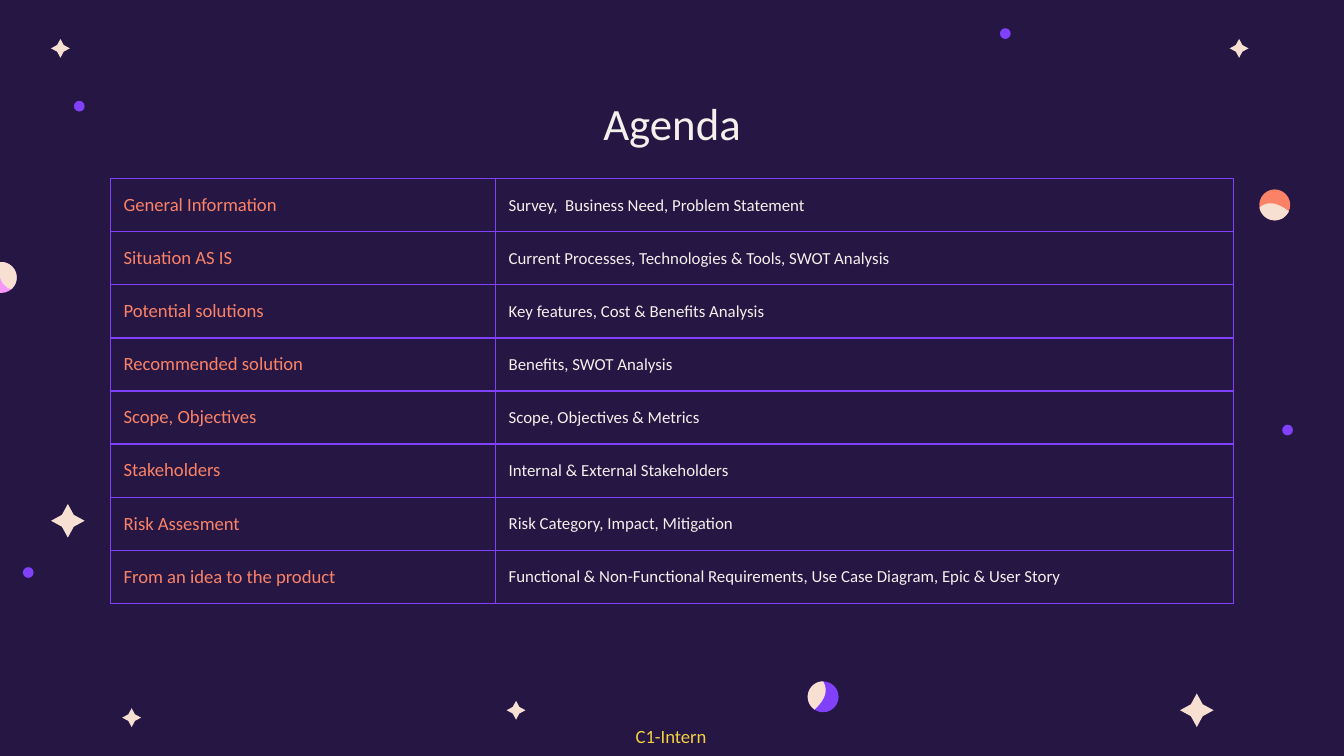
import math
from typing import NamedTuple

import pptx
import pptx.dml.color
import pptx.enum.shapes
import pptx.enum.text
import pptx.oxml
import pptx.oxml.ns
import pptx.util

# The slide is a grid of square cells, each a hundredth of its width
COLUMNS, ROWS = 100, 56.25
CELL = pptx.util.Inches(0.1)
FONT = "Calibri"
COLOURS = {
    "night": "251644",
    "violet": "8141FB",
    "cream": "F7E0D2",
    "pink": "F897FA",
    "coral": "FB8266",
    "white": "F4F1EC",
    "yellow": "F5D142",
}
MSO_SHAPE = pptx.enum.shapes.MSO_SHAPE
MIDDLE = pptx.enum.text.MSO_ANCHOR.MIDDLE
CENTER = pptx.enum.text.PP_ALIGN.CENTER


class Spot(NamedTuple):
    """A decoration's centre and diameter, in grid cells."""
    column: float
    row: float
    size: float


class Moon(NamedTuple):
    spot: Spot
    colour: str
    turn: float  # degrees clockwise


class Topic(NamedTuple):
    name: str
    details: str


DOT, SMALL_STAR, BIG_STAR, MOON = 0.8, 1.4, 2.5, 2.3
DOTS = [Spot(5.9, 7.9, DOT), Spot(74.8, 2.5, DOT),
        Spot(2.1, 42.6, DOT), Spot(95.8, 32, DOT)]
STARS = [
    Spot(5.05, 38.75, BIG_STAR),
    Spot(92.2, 3.6, SMALL_STAR),
    Spot(89.05, 52.85, BIG_STAR),
    Spot(9.8, 53.4, SMALL_STAR),
    Spot(4.5, 3.6, SMALL_STAR),
    Spot(38.4, 52.85, SMALL_STAR),
]
MOONS = [
    Moon(Spot(0.1, 20.65, MOON), "pink", 140.3),
    Moon(Spot(94.85, 15.25, MOON), "coral", 260.4),
    Moon(Spot(61.25, 51.85, MOON), "violet", 0),
]
TOPICS = [
    Topic("General Information", "Survey,  Business Need, Problem Statement"),
    Topic("Situation AS IS", "Current Processes, Technologies & Tools, SWOT Analysis"),
    Topic("Potential solutions", "Key features, Cost & Benefits Analysis"),
    Topic("Recommended solution", "Benefits, SWOT Analysis"),
    Topic("Scope, Objectives", "Scope, Objectives & Metrics"),
    Topic("Stakeholders", "Internal & External Stakeholders"),
    Topic("Risk Assesment", "Risk Category, Impact, Mitigation"),
    Topic("From an idea to the product",
          "Functional & Non-Functional Requirements, Use Case Diagram, Epic & User Story"),
]


def grid(cells: float) -> int:
    return round(cells * CELL)


def rgb(colour: str) -> pptx.dml.color.RGBColor:
    return pptx.dml.color.RGBColor.from_string(COLOURS[colour])


def paint(shape, colour: str) -> None:
    shape.shadow.inherit = False
    shape.fill.solid()
    shape.fill.fore_color.rgb = rgb(colour)
    shape.line.fill.background()


def draw_spot(slide, kind, spot: Spot, colour: str):
    corner = (grid(spot.column - spot.size / 2), grid(spot.row - spot.size / 2))
    shape = slide.shapes.add_shape(kind, *corner, grid(spot.size), grid(spot.size))
    paint(shape, colour)
    return shape


def draw_star(slide, spot: Spot) -> None:
    star = draw_spot(slide, MSO_SHAPE.STAR_4_POINT, spot, "cream")
    star.adjustments[0] = 0.25


def lit_outline(steps: int = 24) -> list[tuple[float, float]]:
    """Lit part of an upright moon of radius 1: its left rim, then a curved edge."""
    angles = [math.radians(270 - 146 * i / steps) for i in range(steps + 1)]
    rim = [(math.cos(a), math.sin(a)) for a in angles]
    bend = [rim[-1], (0, 0.3), (0.4, -0.3), rim[0]]
    edge = []
    for i in range(1, steps):
        t = i / steps
        weights = [math.comb(3, k) * t**k * (1 - t)**(3 - k) for k in range(4)]
        edge.append(tuple(sum(w * p[axis] for w, p in zip(weights, bend))
                          for axis in (0, 1)))
    return rim + edge


def draw_moon(slide, moon: Moon) -> None:
    draw_spot(slide, MSO_SHAPE.OVAL, moon.spot, moon.colour)
    cos, sin = math.cos(math.radians(moon.turn)), math.sin(math.radians(moon.turn))
    radius = moon.spot.size / 2
    outline = [(grid(moon.spot.column + radius * (x * cos - y * sin)),
                grid(moon.spot.row + radius * (x * sin + y * cos)))
               for x, y in lit_outline()]
    builder = slide.shapes.build_freeform(*outline[0])
    builder.add_line_segments(outline[1:], close=True)
    paint(builder.convert_to_shape(), "cream")


def write(frame, text: str, size: float, colour: str, align=None) -> None:
    paragraph = frame.paragraphs[0]
    paragraph.text = text
    paragraph.alignment = align
    paragraph.font.name = FONT
    paragraph.font.size = pptx.util.Pt(size)
    paragraph.font.color.rgb = rgb(colour)


def draw_text(slide, box: tuple, margin: float, wrap: bool, *style) -> None:
    frame = slide.shapes.add_textbox(*map(grid, box)).text_frame
    frame.margin_left = frame.margin_right = grid(margin)
    frame.margin_top = frame.margin_bottom = grid(margin)
    frame.word_wrap = wrap
    frame.vertical_anchor = MIDDLE
    write(frame, *style)


def border(cell, colour: str, width: float) -> None:
    properties = cell._tc.get_or_add_tcPr()
    for place, side in enumerate("LRTB"):
        properties.insert(place, pptx.oxml.parse_xml(
            f'<a:ln{side} {pptx.oxml.ns.nsdecls("a")} w="{pptx.util.Pt(width)}">'
            f'<a:solidFill><a:srgbClr val="{COLOURS[colour]}"/></a:solidFill>'
            f'</a:ln{side}>'))


def draw_agenda(slide, left: float, top: float, widths: tuple, row_height: float) -> None:
    table = slide.shapes.add_table(
        len(TOPICS), len(widths), grid(left), grid(top),
        grid(sum(widths)), grid(row_height * len(TOPICS))).table
    table.first_row = table.horz_banding = False
    for column, width in zip(table.columns, widths):
        column.width = grid(width)
    styles = [(10, "coral"), (9, "white")]
    for row, topic in zip(table.rows, TOPICS):
        row.height = grid(row_height)
        for cell, text, style in zip(row.cells, topic, styles):
            cell.fill.background()
            border(cell, "violet", 0.75)
            cell.margin_left = cell.margin_right = grid(1)
            cell.margin_top = cell.margin_bottom = 0
            cell.vertical_anchor = MIDDLE
            write(cell.text_frame, text, *style)


def main() -> None:
    deck = pptx.Presentation()
    deck.slide_width, deck.slide_height = grid(COLUMNS), grid(ROWS)
    slide = deck.slides.add_slide(deck.slide_layouts[6])
    slide.background.fill.solid()
    slide.background.fill.fore_color.rgb = rgb("night")

    # Footer label
    draw_text(slide, (47.3, 53.9, 5.6, 1.7), 0, False, "C1-Intern", 10, "yellow")

    # Night sky
    for dot in DOTS:
        draw_spot(slide, MSO_SHAPE.OVAL, dot, "violet")
    for star in STARS:
        draw_star(slide, star)
    for moon in MOONS:
        draw_moon(slide, moon)

    # Title and agenda
    draw_text(slide, (7.9, 5.95, 84.2, 6.3), 1, True, "Agenda", 24, "white", CENTER)
    draw_agenda(slide, 8.2, 13.3, (28.65, 54.95), 3.95)

    deck.save("out.pptx")


if __name__ == "__main__":
    main()
